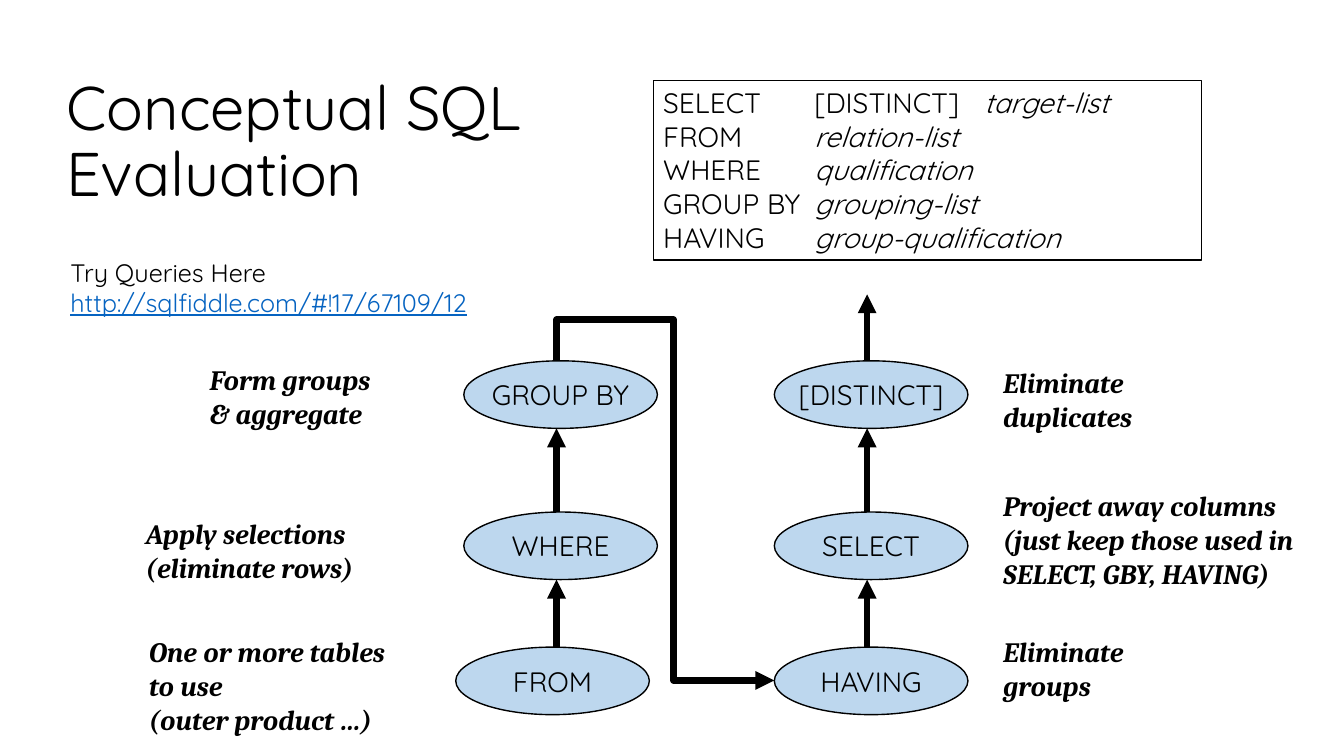
from lxml import etree
from pptx import Presentation
from pptx.dml.color import RGBColor
from pptx.enum.shapes import MSO_CONNECTOR, MSO_SHAPE
from pptx.enum.text import MSO_ANCHOR, PP_ALIGN
from pptx.oxml.ns import qn
from pptx.util import Inches, Pt

STRAIGHT = MSO_CONNECTOR.STRAIGHT
RECT, OVAL = MSO_SHAPE.RECTANGLE, MSO_SHAPE.OVAL
TOP, MIDDLE = MSO_ANCHOR.TOP, MSO_ANCHOR.MIDDLE
LEFT, CENTER = PP_ALIGN.LEFT, PP_ALIGN.CENTER

# Content
SANS, SERIF = "Quicksand", "Cambria"
BLACK, LIGHT_BLUE, LINK_BLUE = "000000", "BDD7EE", "0563C1"
TITLE = "Conceptual SQL Evaluation"
TRY_IT = ["Try Queries Here", "http://sqlfiddle.com/#!17/67109/12"]
CLAUSES = [  # keyword part, italic argument
    ("SELECT\t[DISTINCT]\t", "target-list"),
    ("FROM\t", "relation-list"),
    ("WHERE\t", "qualification"),
    ("GROUP BY\t", "grouping-list"),
    ("HAVING\t", "group-qualification"),
]
CLAUSE_TABS = (1.5, 3.18)
STEPS = [  # name, left, row
    ("GROUP BY", 4.6, 0), ("WHERE", 4.6, 1), ("FROM", 4.52, 2),
    ("[DISTINCT]", 7.68, 0), ("SELECT", 7.68, 1), ("HAVING", 7.68, 2),
]
NOTES = [  # paragraphs, left, top, width, height
    (["Form groups & aggregate"], 1.98, 3.55, 2, 0.77),
    (["Apply selections", "(eliminate rows)"], 1.35, 5.08, 2.83, 0.77),
    (["One or more tables to use", "(outer product …)"], 1.38, 6.25, 2.68, 1.11),
    (["Eliminate duplicates"], 9.85, 3.58, 1.5, 0.77),
    (["Project away columns", "(just keep those used in SELECT, GBY, HAVING)"],
     9.85, 4.8, 3.42, 1.1),
    (["Eliminate groups"], 9.85, 6.25, 1.5, 0.77),
]

# Geometry of the flow
ROW_TOPS = (3.58, 5.08, 6.42)
STEP_W, STEP_H = 1.92, 0.67
LEFT_X, RIGHT_X = 5.52, 8.6
OUTPUT_Y = 2.92
BEND_X, BEND_Y = 6.68, 3.17


def rgb(color):
    return RGBColor.from_string(color)


def style(font, name, size, color=BLACK, bold=False, italic=False):
    font.name, font.size = name, Pt(size)
    font.bold, font.italic = bold, italic
    font.color.rgb = rgb(color)


def add_text(box, paragraphs, name, size, **look):
    tf = box.text_frame
    tf.word_wrap = True
    tf.text = "\n".join(paragraphs)
    for p in tf.paragraphs:
        for r in p.runs:
            style(r.font, name, size, **look)
    return tf


def add_box(s, kind, left, top, width, height, fill=None):
    sp = s.shapes.add_shape(kind, *map(Inches, (left, top, width, height)))
    sp.shadow.inherit = False
    if fill:
        sp.fill.solid()
        sp.fill.fore_color.rgb = rgb(fill)
    else:
        sp.fill.background()
    sp.line.color.rgb = rgb(BLACK)
    sp.line.width = Pt(1)
    return sp


def make_arrow(sp):
    sp.line.color.rgb = rgb(BLACK)
    sp.line.width = Pt(4.5)
    etree.SubElement(sp.line._get_or_add_ln(), qn("a:tailEnd"), type="triangle")


def add_arrow_up(s, x, bottom, top):
    cx = s.shapes.add_connector(STRAIGHT, *map(Inches, (x, bottom, x, top)))
    make_arrow(cx)
    etree.SubElement(cx._element.spPr, qn("a:effectLst"))


prs = Presentation()
prs.slide_width, prs.slide_height = Inches(13.33), Inches(7.5)
s = prs.slides.add_slide(prs.slide_layouts[5])

# Title
title = s.shapes.title
title.left, title.top, title.width, title.height = map(Inches, (0.56, 0.7, 5.62, 1.45))
tf = add_text(title, [TITLE], SANS, 44)
tf.vertical_anchor = MIDDLE
tf.paragraphs[0].alignment = LEFT
tf.paragraphs[0].line_spacing = 0.9

# Query template
tf = add_box(s, RECT, 6.48, 0.8, 5.44, 1.78).text_frame
tf.vertical_anchor = TOP
tf.text = "\n".join(keyword for keyword, _ in CLAUSES)
for p, (_, argument) in zip(tf.paragraphs, CLAUSES):
    p.alignment = LEFT
    tabs = etree.SubElement(p._p.get_or_add_pPr(), qn("a:tabLst"))
    for pos in CLAUSE_TABS:
        etree.SubElement(tabs, qn("a:tab"), pos=str(Inches(pos)), algn="l")
    p.add_run().text = argument
    for r in p.runs:
        style(r.font, SANS, 20, italic=r.text == argument)

# Link
box = s.shapes.add_textbox(*map(Inches, (0.6, 2.5, 4.49, 1.01)))
tf = add_text(box, TRY_IT, SANS, 18)
link = tf.paragraphs[1].runs[0].font
link.color.rgb = rgb(LINK_BLUE)
link.underline = True

# Evaluation steps
for name, left, row in STEPS:
    oval = add_box(s, OVAL, left, ROW_TOPS[row], STEP_W, STEP_H, LIGHT_BLUE)
    tf = add_text(oval, [name], SANS, 20)
    tf.word_wrap = False
    tf.vertical_anchor = MIDDLE
    tf.paragraphs[0].alignment = CENTER

# Explanations beside the steps
for paragraphs, *place in NOTES:
    box = s.shapes.add_textbox(*map(Inches, place))
    add_text(box, paragraphs, SERIF, 20, bold=True, italic=True)

# Arrows up each column, then out of the last step
for x in (LEFT_X, RIGHT_X):
    for upper, lower in zip(ROW_TOPS, ROW_TOPS[1:]):
        add_arrow_up(s, x, lower, upper + STEP_H)
add_arrow_up(s, RIGHT_X, ROW_TOPS[0], OUTPUT_Y)

# Bent arrow from GROUP BY to HAVING
end_y = 6.75
bend = [(LEFT_X, BEND_Y), (BEND_X, BEND_Y), (BEND_X, end_y), (7.68, end_y)]
fb = s.shapes.build_freeform(Inches(LEFT_X), Inches(ROW_TOPS[0]))
fb.add_line_segments([(Inches(x), Inches(y)) for x, y in bend], close=False)
sp = fb.convert_to_shape()
sp.shadow.inherit = False
sp.fill.background()
make_arrow(sp)

prs.save("out.pptx")
